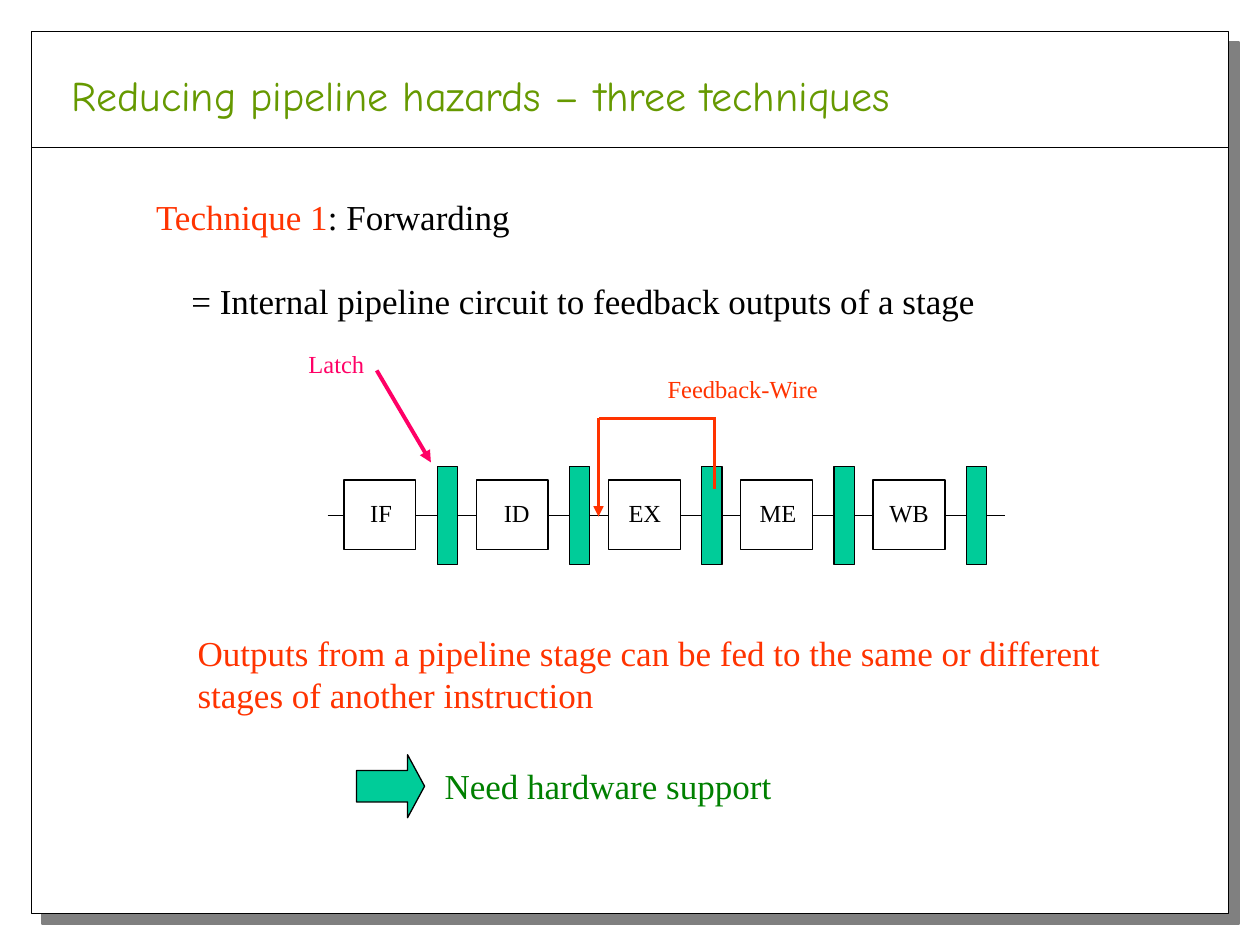
from lxml.etree import SubElement as sub
from pptx import Presentation
from pptx.dml.color import RGBColor
from pptx.enum.shapes import MSO_CONNECTOR as CONN, MSO_SHAPE as SHAPE
from pptx.enum.text import MSO_ANCHOR as ANCHOR, PP_ALIGN as ALIGN
from pptx.oxml.ns import qn
from pptx.util import Inches, Pt

BLACK, RED, PINK = "000000", "FF3300", "FF0066"
TEAL, GREEN, OLIVE = "00CC99", "008000", "669900"
color = RGBColor.from_string

deck = Presentation()
deck.slide_width, deck.slide_height = Inches(10), Inches(7.5)
slide = deck.slides.add_slide(deck.slide_layouts[5])
shapes = slide.shapes


def write(text, at, box=None, size=20, ink=BLACK, font="Times New Roman", gap=0):
    """Write one paragraph per line of text into a box."""
    left, top, width, height = map(Inches, at)
    box = box or shapes.add_textbox(left, top, width, height)
    box.left, box.top, box.width, box.height = left, top, width, height
    frame = box.text_frame
    frame.word_wrap = True
    frame.vertical_anchor = ANCHOR.TOP
    frame.text = text
    for i, para in enumerate(frame.paragraphs):
        para.alignment = ALIGN.LEFT
        para.space_before = Pt(gap if i else 0)
        for run in para.runs:
            run.font.size, run.font.name = Pt(size), font
            run.font.color.rgb = color(ink)
    return frame


def draw(kind, at, fill=None, ink=BLACK, weight=0.75, arrow=False):
    """Draw a line (kind None, ends in at) or a filled preset shape."""
    spots = map(Inches, at)
    if kind is None:
        item = shapes.add_connector(CONN.STRAIGHT, *spots)
        sub(item.element.spPr, qn("a:effectLst"))
    else:
        item = shapes.add_shape(kind, *spots)
        item.shadow.inherit = False
        item.fill.solid()
        item.fill.fore_color.rgb = color(fill)
    item.line.color.rgb = color(ink)
    item.line.width = Pt(weight)
    if arrow:
        sub(item.line._get_or_add_ln(), qn("a:tailEnd"), type="triangle")
    return item


# Page frame with its shadow, and the rule below the title
page = draw(SHAPE.RECTANGLE, (0.25, 0.25, 9.5, 7), fill="FFFFFF")
effect = page.element.spPr.find(qn("a:effectLst"))
shade = sub(effect, qn("a:outerShdw"), dist=str(Pt(8.5)), dir="2700000",
            algn="ctr", rotWithShape="0")
sub(shade, qn("a:srgbClr"), val="808080")
draw(None, (0.25, 1.17, 9.75, 1.17))

# Title, raised above the frame
title = shapes.title
write("Reducing pipeline hazards – three techniques", (0.47, 0.5, 6.9, 0.5),
      box=title, size=24, ink=OLIVE, font="Comic Neue")
page.element.addnext(title.element)

# Technique and its definition
body = write("Technique 1\n= Internal pipeline circuit to feedback outputs of a stage",
             (1.14, 1.5, 6.9, 1.1), gap=24)
head, note = body.paragraphs
head.runs[0].font.color.rgb = color(RED)
rest = head.add_run()
rest.text = ": Forwarding"
rest.font.size, rest.font.name = Pt(20), "Times New Roman"
rest.font.color.rgb = color(BLACK)
note._p.get_or_add_pPr().set("marL", str(Inches(0.28)))

# Pipeline stages: wire, box, latch, label (name, label inset)
stages = [("IF", 0.11), ("ID", 0.12), ("EX", 0.06), ("ME", 0.05), ("WB", 0.03)]
mid, step = 4.09, 1.05
for i, (name, inset) in enumerate(stages):
    x = 2.73 + i * step
    end = 7.98 if name == "WB" else x + 1.57
    draw(None, (x - 0.13, mid, end, mid))
    draw(SHAPE.RECTANGLE, (x, 3.81, 0.57, 0.55), fill="FFFFFF")
    draw(SHAPE.RECTANGLE, (x + 0.74, 3.7, 0.16, 0.78), fill=TEAL)
    write(name, (x + inset, 3.9, 0.6, 0.34), size=14)

# Feedback wire
draw(None, (5.67, 3.88, 5.67, 3.31), ink=RED, weight=1.5)
draw(None, (5.68, 3.32, 4.75, 3.32), ink=RED, weight=1.5)
draw(None, (4.75, 3.32, 4.75, 4.1), ink=RED, weight=1.5, arrow=True)
write("Feedback-Wire", (5.2, 2.92, 1.5, 0.34), size=14, ink=RED)

# Latch pointer
write("Latch", (2.35, 2.72, 0.7, 0.34), size=14, ink=PINK)
draw(None, (2.99, 2.94, 3.42, 3.67), ink=PINK, weight=2.25, arrow=True)

# Conclusion
write("Outputs from a pipeline stage can be fed to the same or different\n"
      "stages of another instruction", (1.47, 4.96, 7.5, 0.77), ink=RED)
write("Need hardware support", (3.43, 6.02, 2.9, 0.44), ink=GREEN)
arrow = draw(SHAPE.RIGHT_ARROW, (2.83, 5.99, 0.54, 0.5), fill=TEAL)
arrow.adjustments[1] = 0.27

deck.save("out.pptx")
